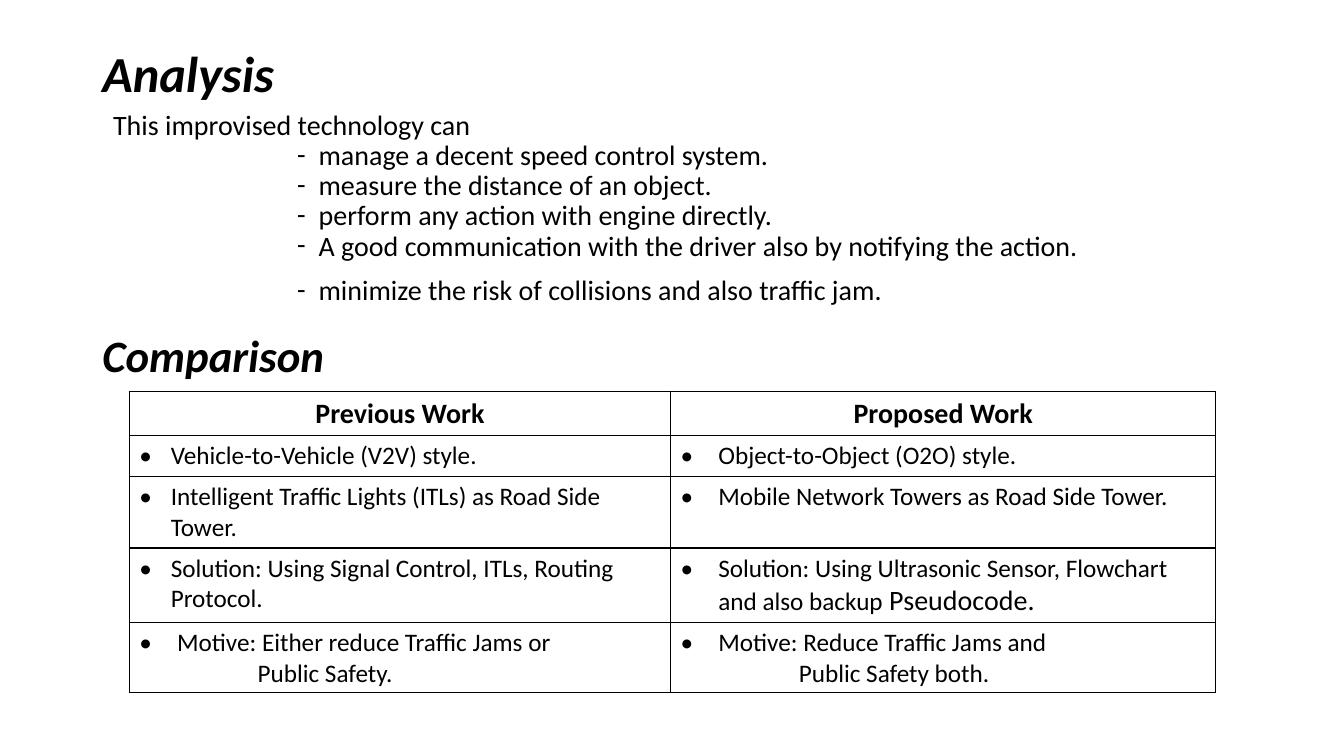
from lxml import etree
from pptx import Presentation
from pptx.dml.color import RGBColor
from pptx.enum.text import MSO_ANCHOR, PP_ALIGN
from pptx.oxml.ns import qn
from pptx.util import Cm, Pt

LEFT, CENTER = PP_ALIGN.LEFT, PP_ALIGN.CENTER
TOP, MIDDLE = MSO_ANCHOR.TOP, MSO_ANCHOR.MIDDLE
FONT = "Calibri"
HUES = {"ink": "000000", "rule": "000000"}

GOALS = [
    "manage a decent speed control system.",
    "measure the distance of an object.",
    "perform any action with engine directly.",
    "A good communication with the driver also by notifying the action.",
    "minimize the risk of collisions and also traffic jam.",
]
HEADS = ["Previous Work", "Proposed Work"]
WORKS = [
    [["Vehicle-to-Vehicle (V2V) style."], ["Object-to-Object (O2O) style."]],
    [["Intelligent Traffic Lights (ITLs) as Road Side Tower."],
     ["Mobile Network Towers as Road Side Tower."]],
    [["Solution: Using Signal Control, ITLs, Routing Protocol."],
     ["Solution: Using Ultrasonic Sensor, Flowchart and also backup"]],
    [["Motive: Either reduce Traffic Jams or", "Public Safety."],
     ["Motive: Reduce Traffic Jams and", "Public Safety both."]],
]
TAILS = {(3, 1): " Pseudocode."}
WIDTHS = [13.64, 13.74]
HEIGHTS = [1.11, 1.04, 1.8, 1.87, 1.78]


def add_run(para, text, size, bold=False, slant=False):
    """Add one styled run to a paragraph."""
    run = para.add_run()
    run.text = text
    font = run.font
    font.name, font.size = FONT, Pt(size)
    font.bold, font.italic = bold, slant
    font.color.rgb = RGBColor.from_string(HUES["ink"])


def set_bullet(para, mark, left, hang):
    """Give a paragraph a bullet mark with a hanging indent."""
    props = para._p.get_or_add_pPr()
    props.set("marL", str(Cm(left)))
    props.set("indent", str(-Cm(hang)))
    etree.SubElement(props, qn("a:buFont"), typeface=FONT)
    etree.SubElement(props, qn("a:buChar"), char=mark)


def add_box(slide, box, anchor=TOP, wrap=True):
    """Add a text box and return its text frame."""
    frame = slide.shapes.add_textbox(*map(Cm, box)).text_frame
    frame.word_wrap = wrap
    frame.vertical_anchor = anchor
    return frame


def add_head(slide, box, text, size, anchor=TOP, wrap=True, line=1.0):
    """Place a bold italic heading in the box."""
    para = add_box(slide, box, anchor, wrap).paragraphs[0]
    para.line_spacing = line
    add_run(para, text, size, bold=True, slant=True)


def add_goals(slide, box):
    """Place the lead sentence and its dashed list in the box."""
    frame = add_box(slide, box)
    lead = frame.paragraphs[0]
    lead.line_spacing = 0.9
    add_run(lead, "This improvised technology can", 20)
    for goal in GOALS:
        para = frame.add_paragraph()
        para.line_spacing = 0.9
        para.space_before = Pt(10 if goal == GOALS[-1] else 0)
        set_bullet(para, "-", 5.18, 0.54)
        add_run(para, goal, 20)


def add_rules(cell):
    """Draw thin lines on the four sides of a cell."""
    props = cell._tc.get_or_add_tcPr()
    for side in ("lnL", "lnR", "lnT", "lnB"):
        line = etree.SubElement(props, qn(f"a:{side}"), w=str(Pt(1)))
        fill = etree.SubElement(line, qn("a:solidFill"))
        etree.SubElement(fill, qn("a:srgbClr"), val=HUES["rule"])
    cell.fill.background()


def fill_cell(cell, lines, left, tail):
    """Write a bulleted point, its closing run and any second line."""
    frame = cell.text_frame
    point = frame.paragraphs[0]
    point.alignment = LEFT
    set_bullet(point, "•", left, left)
    add_run(point, lines[0], 18)
    if tail:
        add_run(point, tail, 20)
    for text in lines[1:]:
        para = frame.add_paragraph()
        para._p.get_or_add_pPr().set("marL", str(Cm(2.98)))
        add_run(para, text, 18)


def add_works(slide, box):
    """Place the table of previous and proposed work in the box."""
    shape = slide.shapes.add_table(len(HEIGHTS), len(WIDTHS), *map(Cm, box))
    table = shape.table
    table.horz_banding = False
    for col, width in zip(table.columns, WIDTHS):
        col.width = Cm(width)
    for row, height in zip(table.rows, HEIGHTS):
        row.height = Cm(height)
    for cell in table.iter_cells():
        add_rules(cell)
    for col, head in enumerate(HEADS):
        para = table.cell(0, col).text_frame.paragraphs[0]
        para.alignment = CENTER
        add_run(para, head, 20, bold=True)
    for row, pair in enumerate(WORKS, 1):
        for col, lines in enumerate(pair):
            left = 0.95 if col or len(lines) > 1 else 0.79
            fill_cell(table.cell(row, col), lines, left, TAILS.get((row, col)))


def main():
    """Build the slide and save it."""
    deck = Presentation()
    deck.slide_width, deck.slide_height = Cm(33.87), Cm(19.05)
    slide = deck.slides.add_slide(deck.slide_layouts[6])
    add_head(slide, (2.33, 1.19, 29.21, 1.45), "Analysis", 36, MIDDLE, line=0.9)
    add_goals(slide, (2.6, 2.67, 28.93, 5.38))
    add_head(slide, (2.33, 8.13, 6.15, 1.63), "Comparison", 32, wrap=False)
    add_works(slide, (3.26, 9.86, sum(WIDTHS), sum(HEIGHTS)))
    deck.save("out.pptx")


if __name__ == "__main__":
    main()
